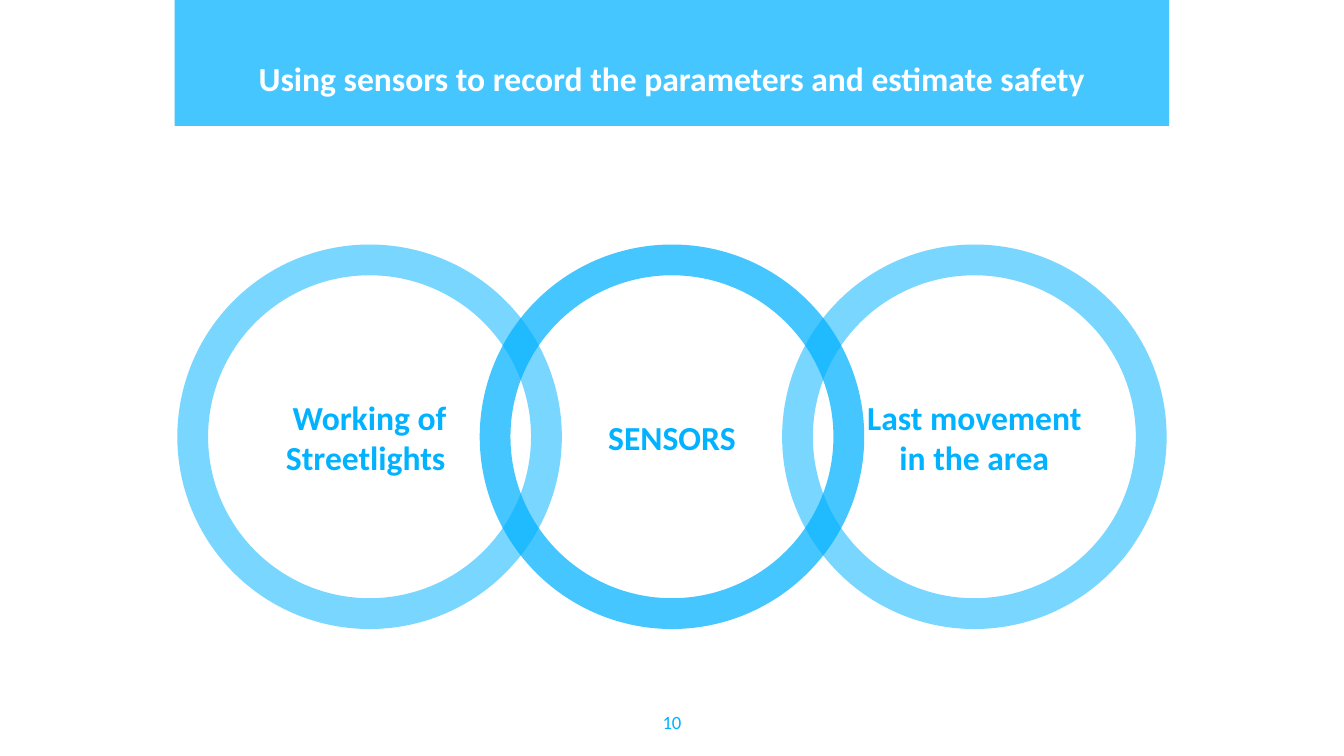
import lxml.etree
import pptx
import pptx.dml.color
import pptx.enum.shapes
import pptx.enum.text
import pptx.oxml.ns
import pptx.util

SHAPE = pptx.enum.shapes.MSO_SHAPE
ANCHOR = pptx.enum.text.MSO_ANCHOR


def color(value):
    return pptx.dml.color.RGBColor.from_string(value)


class SlideBuilder:
    accent = "00B2FF"
    white = "FFFFFF"
    font = "Calibri"
    inset = 7.2

    def __init__(self, presentation):
        self.slide = presentation.slides.add_slide(presentation.slide_layouts[5])

    def set_text(self, shape, text, size, text_color, bold, anchor):
        frame = shape.text_frame
        frame.text = text
        inset = pptx.util.Pt(self.inset)
        frame_format = {
            "word_wrap": True,
            "auto_size": pptx.enum.text.MSO_AUTO_SIZE.NONE,
            "vertical_anchor": anchor,
            "margin_left": inset,
            "margin_top": inset,
            "margin_right": inset,
            "margin_bottom": inset,
        }
        for name, value in frame_format.items():
            setattr(frame, name, value)
        paragraph = frame.paragraphs[0]
        paragraph.alignment = pptx.enum.text.PP_ALIGN.CENTER
        run_font = paragraph.runs[0].font
        font_format = {"name": self.font, "size": pptx.util.Pt(size), "bold": bold}
        for name, value in font_format.items():
            setattr(run_font, name, value)
        run_font.color.rgb = color(text_color)

    def shape(self, kind, left, top, width, height, opacity):
        box = map(pptx.util.Pt, (left, top, width, height))
        shape = self.slide.shapes.add_shape(kind, *box)
        shape.shadow.inherit = False
        shape.line.fill.background()
        shape.fill.solid()
        shape.fill.fore_color.rgb = color(self.accent)
        fill_color = shape._element.spPr.find(".//" + pptx.oxml.ns.qn("a:srgbClr"))
        alpha = lxml.etree.SubElement(fill_color, pptx.oxml.ns.qn("a:alpha"))
        alpha.set("val", str(opacity * 1000))
        return shape

    def title(self, text, left, top, width, height, band):
        title = self.slide.shapes.title
        position = {"left": left, "top": top, "width": width, "height": height}
        for name, value in position.items():
            setattr(title, name, pptx.util.Pt(value))
        self.set_text(title, text, 18, self.white, True, ANCHOR.TOP)
        band._element.addnext(title._element)

    def ring(self, text, left, top, diameter, opacity):
        ring = self.shape(SHAPE.DONUT, left, top, diameter, diameter, opacity)
        ring.adjustments[0] = 0.08
        self.set_text(ring, text, 18, self.accent, True, ANCHOR.MIDDLE)

    def page_number(self, text, left, top, width, height):
        box = map(pptx.util.Pt, (left, top, width, height))
        textbox = self.slide.shapes.add_textbox(*box)
        self.set_text(textbox, text, 10, self.accent, False, ANCHOR.TOP)


def main():
    presentation = pptx.Presentation()
    presentation.slide_width = pptx.util.Pt(720)
    presentation.slide_height = pptx.util.Pt(405)
    builder = SlideBuilder(presentation)

    band = builder.shape(SHAPE.RECTANGLE, 93.6, 0, 532.8, 67.5, 73)
    builder.title(
        "Using sensors to record the parameters and estimate safety",
        93.6, 23.8, 532.8, 39.6, band,
    )

    diameter, step = 206, 162
    middle_left = (720 - diameter) / 2
    rings = [
        ("SENSORS", 0, 73),
        ("Last movement in the area", 1, 53),
        ("Working of Streetlights ", -1, 53),
    ]
    for text, offset, opacity in rings:
        builder.ring(text, middle_left + offset * step, 131, diameter, opacity)

    builder.page_number("10", 338.4, 373.7, 43.2, 31)
    presentation.save("out.pptx")


if __name__ == "__main__":
    main()
